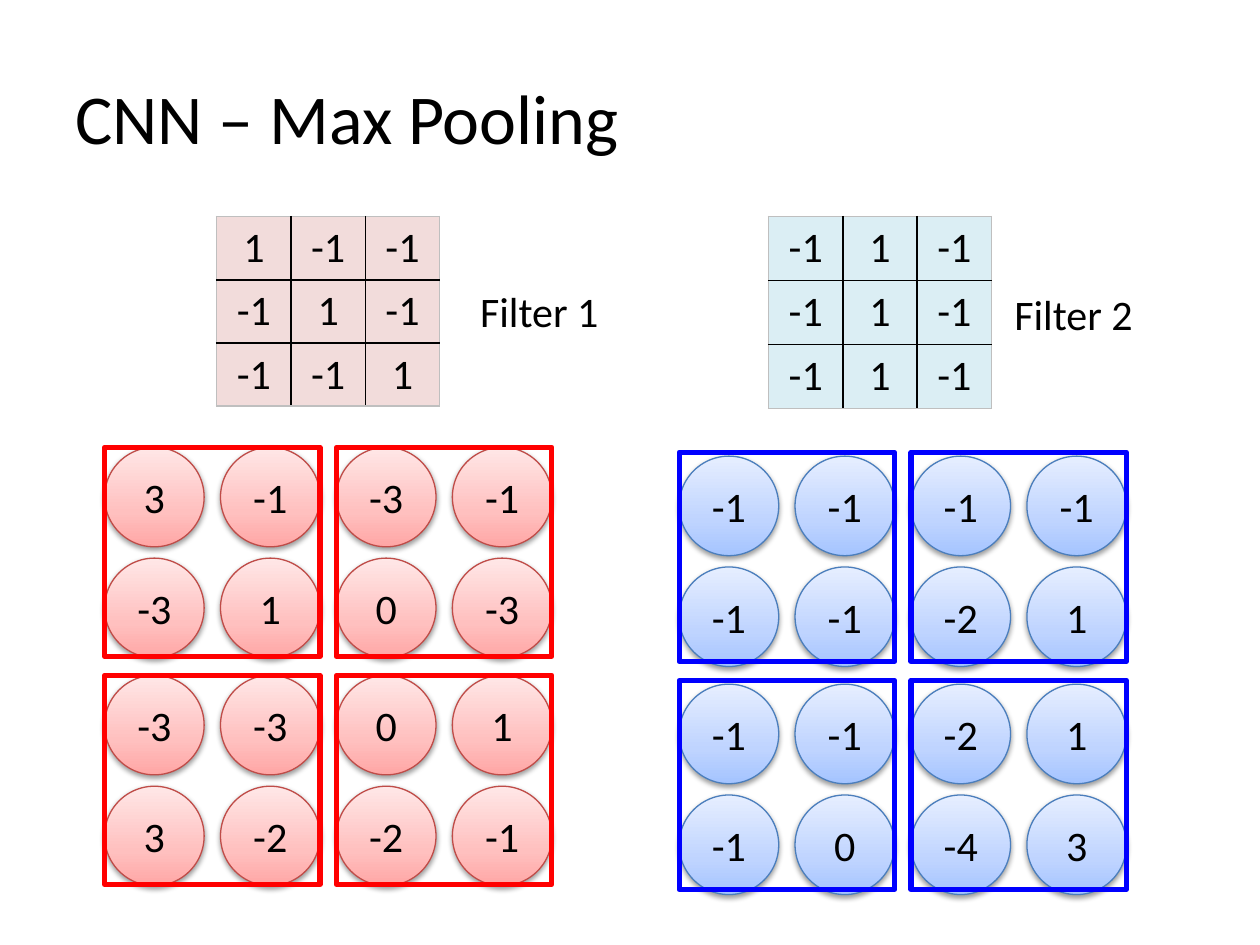
from dataclasses import dataclass

from lxml.etree import SubElement
from pptx import Presentation
from pptx.dml.color import RGBColor
from pptx.enum.shapes import MSO_SHAPE
from pptx.enum.text import MSO_ANCHOR, PP_ALIGN
from pptx.oxml.ns import qn
from pptx.util import Inches, Pt


@dataclass(frozen=True)
class Tint:
    stops: tuple
    edge: str
    frame: str
    cell: str


@dataclass(frozen=True)
class Theme:
    font: str = "Calibri"
    ink: str = "000000"
    rim: str = "BFBFBF"
    head: int = 40
    body: int = 24
    red: Tint = Tint(((0, "FFA6A5"), (35, "FFC0BF"), (100, "FFE7E7")),
                     "BF4C48", "FF0000", "F2DCDB")
    blue: Tint = Tint(((0, "A4C4FF"), (35, "BFD4FF"), (100, "E6EEFF")),
                      "4B7EBC", "0000FF", "DBEEF4")


THEME = Theme()


def rgb(code):
    return RGBColor.from_string(code)


def put(frame, text, size=THEME.body, align=PP_ALIGN.CENTER, color=THEME.ink,
        anchor=None, pad=None, wrap=True):
    frame.word_wrap = wrap
    if anchor is not None:
        frame.vertical_anchor = anchor
    if pad is not None:
        frame.margin_left = frame.margin_right = Inches(pad)
    par = frame.paragraphs[0]
    par.alignment = align
    run = par.add_run()
    run.text = text
    run.font.name = THEME.font
    run.font.size = Pt(size)
    run.font.color.rgb = rgb(color)


def add(parent, tag, **attrs):
    return SubElement(parent, qn(tag), {k: str(v) for k, v in attrs.items()})


class Board:
    """Draws every kind of element on one slide in one style."""

    def __init__(self, theme, slide):
        self.theme = theme
        self.slide = slide

    def title(self, text):
        box = self.slide.shapes.title
        box.left, box.top = Inches(0.5), Inches(0.3)
        box.width, box.height = Inches(9), Inches(1.25)
        put(box.text_frame, text, size=self.theme.head, align=PP_ALIGN.LEFT,
            anchor=MSO_ANCHOR.MIDDLE)

    def label(self, text, x, y):
        box = self.slide.shapes.add_textbox(
            Inches(x), Inches(y), Inches(1.58), Inches(0.5))
        put(box.text_frame, text)

    def shape(self, kind, x, y, w, h, color, width):
        item = self.slide.shapes.add_shape(
            kind, Inches(x), Inches(y), Inches(w), Inches(h))
        item.shadow.inherit = False
        item.line.color.rgb = rgb(color)
        item.line.width = Pt(width)
        return item

    def frame(self, x, y, tint):
        item = self.shape(MSO_SHAPE.RECTANGLE, x, y, 1.71, 1.66, tint.frame, 3)
        item.fill.background()

    def ball(self, text, x, y, tint):
        item = self.shape(MSO_SHAPE.OVAL, x, y, 0.79, 0.79, tint.edge, 0.75)
        self.shade(item, tint.stops)
        self.drop(item)
        put(item.text_frame, text, anchor=MSO_ANCHOR.MIDDLE, pad=0, wrap=False)

    def shade(self, item, stops):
        """Fill with a vertical gradient whose first stop is at the bottom."""
        item.fill.gradient()
        item.fill.gradient_angle = 90
        group = item._element.spPr.find(qn("a:gradFill")).find(qn("a:gsLst"))
        group.clear()
        for place, color in stops:
            stop = add(group, "a:gs", pos=place * 1000)
            add(stop, "a:srgbClr", val=color)

    def drop(self, item):
        """Add a soft shadow straight below the shape."""
        effect = item._element.spPr.find(qn("a:effectLst"))
        outer = add(effect, "a:outerShdw", blurRad=Pt(3.1), dist=Pt(1.6),
                    dir=90 * 60000, rotWithShape=0)
        color = add(outer, "a:srgbClr", val=self.theme.ink)
        add(color, "a:alpha", val=38000)

    def table(self, rows, x, y, tint):
        count = len(rows)
        grid = self.slide.shapes.add_table(
            count, count, Inches(x), Inches(y), Inches(1.77), Inches(1.5)).table
        grid.first_row = grid.horz_banding = False
        last = count - 1
        for r, row in enumerate(rows):
            for c, value in enumerate(row):
                cell = grid.cell(r, c)
                self.edges(cell, L=c == 0, R=c == last, T=r == 0, B=r == last)
                cell.fill.solid()
                cell.fill.fore_color.rgb = rgb(tint.cell)
                put(cell.text_frame, str(value))

    def edges(self, cell, **sides):
        """Draw the cell borders; a side that is true lies on the table's rim."""
        props = cell._tc.get_or_add_tcPr()
        for side, outer in sides.items():
            line = add(props, f"a:ln{side}", w=Pt(1))
            fill = add(line, "a:solidFill")
            add(fill, "a:srgbClr", val=self.theme.rim if outer else self.theme.ink)

    def balls(self, rows, x, y, tint):
        for r, row in enumerate(rows):
            for c, value in enumerate(row):
                top = y + r // 2 * BLOCK_Y + r % 2 * STEP_Y
                self.ball(str(value), x + c * STEP_X, top, tint)

    def frames(self, x, y, tint):
        for r in range(2):
            for c in range(2):
                self.frame(x + c * 2 * STEP_X, y + r * BLOCK_Y, tint)


STEP_X, STEP_Y, BLOCK_Y = 0.92, 0.88, 1.81

DIAGONAL = [[1, -1, -1], [-1, 1, -1], [-1, -1, 1]]
COLUMN = [[-1, 1, -1]] * 3
RED_MAP = [[3, -1, -3, -1], [-3, 1, 0, -3], [-3, -3, 0, 1], [3, -2, -2, -1]]
BLUE_MAP = [[-1, -1, -1, -1], [-1, -1, -2, 1], [-1, -1, -2, 1], [-1, 0, -4, 3]]


def main():
    deck = Presentation()
    deck.slide_width, deck.slide_height = Inches(10), Inches(7.5)
    board = Board(THEME, deck.slides.add_slide(deck.slide_layouts[5]))
    red, blue = THEME.red, THEME.blue

    board.title("CNN – Max Pooling")
    board.balls(RED_MAP, 0.83, 3.55, red)
    board.table(COLUMN, 6.1, 1.72, blue)
    board.label("Filter 2", 7.73, 2.24)
    board.balls(BLUE_MAP, 5.39, 3.62, blue)
    board.table(DIAGONAL, 1.72, 1.72, red)
    board.label("Filter 1", 3.49, 2.22)
    board.frames(0.83, 3.55, red)
    board.frames(5.39, 3.59, blue)
    deck.save("out.pptx")


if __name__ == "__main__":
    main()
